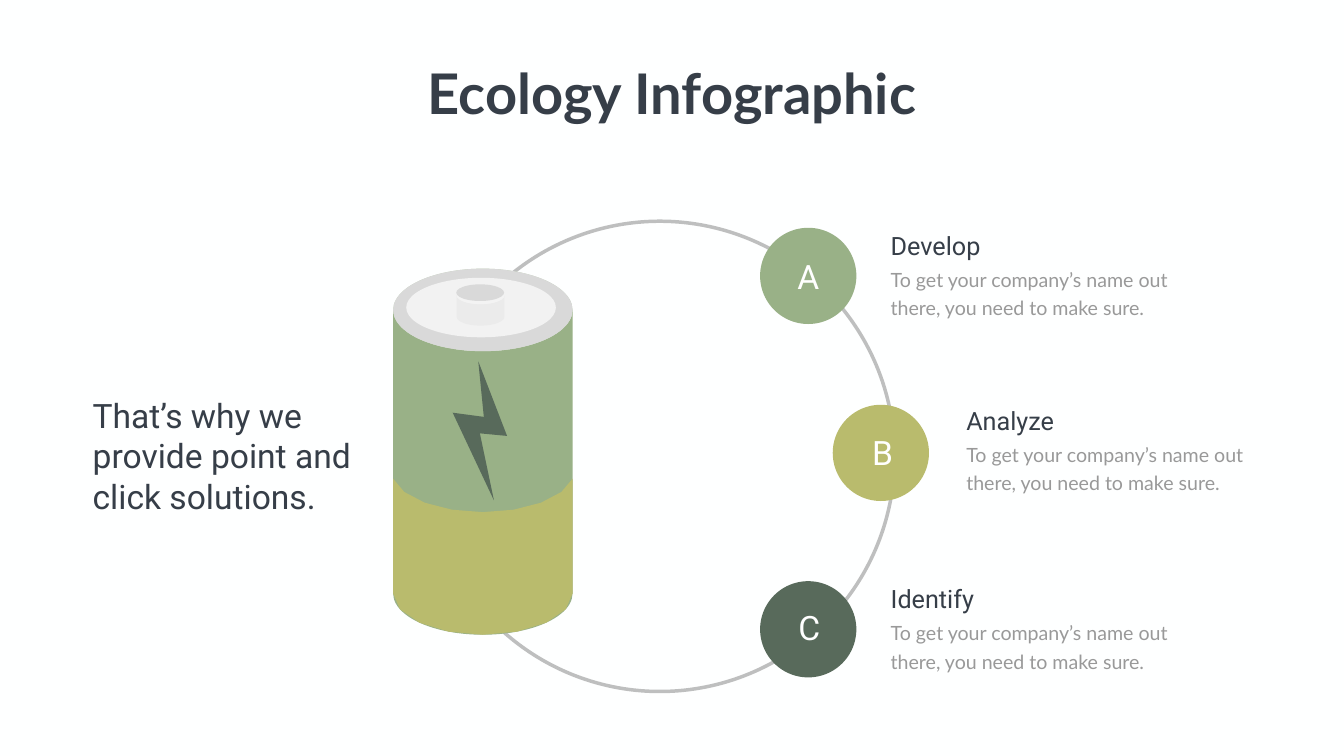
from math import cos, radians, sin

from lxml.etree import SubElement
from pptx import Presentation
from pptx.dml.color import RGBColor
from pptx.enum.shapes import MSO_SHAPE
from pptx.enum.text import MSO_AUTO_SIZE, PP_ALIGN
from pptx.oxml.ns import qn
from pptx.util import Cm, Pt

BACKGROUND = RGBColor(0xFE, 0xFF, 0xFF)
DARK = RGBColor(0x36, 0x3E, 0x48)
GREY = RGBColor(0x99, 0x99, 0x99)
RING = RGBColor(0x80, 0x80, 0x80)
GREEN = RGBColor(0x99, 0xB1, 0x87)
OLIVE = RGBColor(0xB9, 0xBB, 0x6D)
FOREST = RGBColor(0x58, 0x6A, 0x5B)
RIM = RGBColor(0xD9, 0xD9, 0xD9)
LID = RGBColor(0xF2, 0xF2, 0xF2)
TERMINAL = RGBColor(0xEB, 0xEB, 0xEB)
WHITE = RGBColor(0xFF, 0xFF, 0xFF)

CIRCLE = 4.85
DETAIL = "To get your company’s name out there, you need to make sure."
# letter, heading, colour, then left and top of circle, letter and text
STEPS = [
    ("A", "Develop", GREEN, (38.3, 11.48), (39.47, 12.79), (44.63, 11.48)),
    ("B", "Analyze", OLIVE, (41.96, 20.4), (43.22, 21.65), (48.44, 20.29)),
    ("C", "Identify", FOREST, (38.3, 29.29), (39.53, 30.47), (44.63, 29.28)),
]
BOLT = [(24.1, 18.21), (25.55, 21.97), (24.18, 21.84),
        (24.89, 25.22), (22.81, 20.8), (24.38, 21.01)]


def add_text(s, text, x, y, w, h, size, font="Roboto", color=DARK, bold=False,
             align=PP_ALIGN.LEFT, spacing=None, wrap=True):
    tf = s.shapes.add_textbox(Cm(x), Cm(y), Cm(w), Cm(h)).text_frame
    tf.word_wrap = wrap
    tf.auto_size = MSO_AUTO_SIZE.SHAPE_TO_FIT_TEXT
    p = tf.paragraphs[0]
    p.alignment = align
    if spacing:
        p.line_spacing = Pt(spacing)
    r = p.add_run()
    r.text = text
    r.font.name = font
    r.font.size = Pt(size)
    r.font.bold = bold
    r.font.color.rgb = color


def paint(sp, color):
    sp.shadow.inherit = False
    sp.fill.solid()
    sp.fill.fore_color.rgb = color
    sp.line.fill.background()


def add_preset(s, kind, x, y, w, h, color):
    sp = s.shapes.add_shape(kind, Cm(x), Cm(y), Cm(w), Cm(h))
    paint(sp, color)
    return sp


def add_oval(s, x, y, w, h, color):
    return add_preset(s, MSO_SHAPE.OVAL, x, y, w, h, color)


def add_cylinder(s, x, y, w, h, ry, color):
    sp = add_preset(s, MSO_SHAPE.CAN, x, y, w, h, color)
    sp.adjustments[0] = 2 * ry / min(w, h)


def add_outline(s, points, color):
    start, *rest = [(Cm(x), Cm(y)) for x, y in points]
    builder = s.shapes.build_freeform(*start)
    builder.add_line_segments(rest, close=True)
    paint(builder.convert_to_shape(), color)


def arc(cx, cy, rx, ry, start, end, steps=8):
    """Points of an ellipse arc; degrees run clockwise from the right."""
    angles = [radians(start + (end - start) * i / steps) for i in range(steps + 1)]
    return [(cx + rx * cos(a), cy + ry * sin(a)) for a in angles]


def add_ring(s):
    sp = add_oval(s, 21.41, 11.15, 23.67, 23.7, RING)
    sp.fill.background()
    sp.line.color.rgb = RING
    sp.line.width = Pt(5)
    color = sp.line._get_or_add_ln().find(".//" + qn("a:srgbClr"))
    SubElement(color, qn("a:alpha"), val="50000")


def add_battery(s):
    x, y, w, h, ry = 19.81, 13.54, 9.04, 18.45, 2.08
    cx, rx = x + w / 2, w / 2
    add_cylinder(s, x, y, w, h, ry, GREEN)
    add_oval(s, x, y, w, 2 * ry, RIM)
    add_oval(s, 20.47, 14, 7.54, 3, LID)
    # The charge level dips like the rim, cut where it meets the sides
    level = arc(cx, 23.73, rx / cos(radians(11)), ry, 169, 11)
    add_outline(s, level + arc(cx, y + h - ry, rx, ry, 0, 180), OLIVE)
    add_cylinder(s, 23.01, 14.45, 2.41, 1.96, 0.44, TERMINAL)
    add_oval(s, 22.99, 14.33, 2.41, 0.84, RIM)
    add_outline(s, BOLT, FOREST)


def add_step(s, heading, color, circle_at, text_at):
    add_oval(s, *circle_at, CIRCLE, CIRCLE, color)
    x, y = text_at
    add_text(s, DETAIL, x, y + 1.64, 15.09, 3.02, 28, font="Lato",
             color=GREY, spacing=40.8)
    add_text(s, heading, x, y, 11.15, 1.8, 36)


def main():
    prs = Presentation()
    prs.slide_width, prs.slide_height = Cm(67.72), Cm(38.1)
    s = prs.slides.add_slide(prs.slide_layouts[6])
    s.background.fill.solid()
    s.background.fill.fore_color.rgb = BACKGROUND
    add_ring(s)
    add_battery(s)
    for letter, heading, color, circle_at, letter_at, text_at in STEPS:
        add_step(s, heading, color, circle_at, text_at)
        add_text(s, letter, *letter_at, 2.51, 2.31, 48, color=WHITE,
                 align=PP_ALIGN.CENTER)
    add_text(s, "That’s why we provide point and click solutions.",
             4.42, 19.78, 15.09, 6.4, 48)
    add_text(s, "Ecology Infographic", 21.02, 2.84, 25.68, 3.68, 80, font="Lato",
             bold=True, align=PP_ALIGN.CENTER, wrap=False)
    prs.save("out.pptx")


if __name__ == "__main__":
    main()
